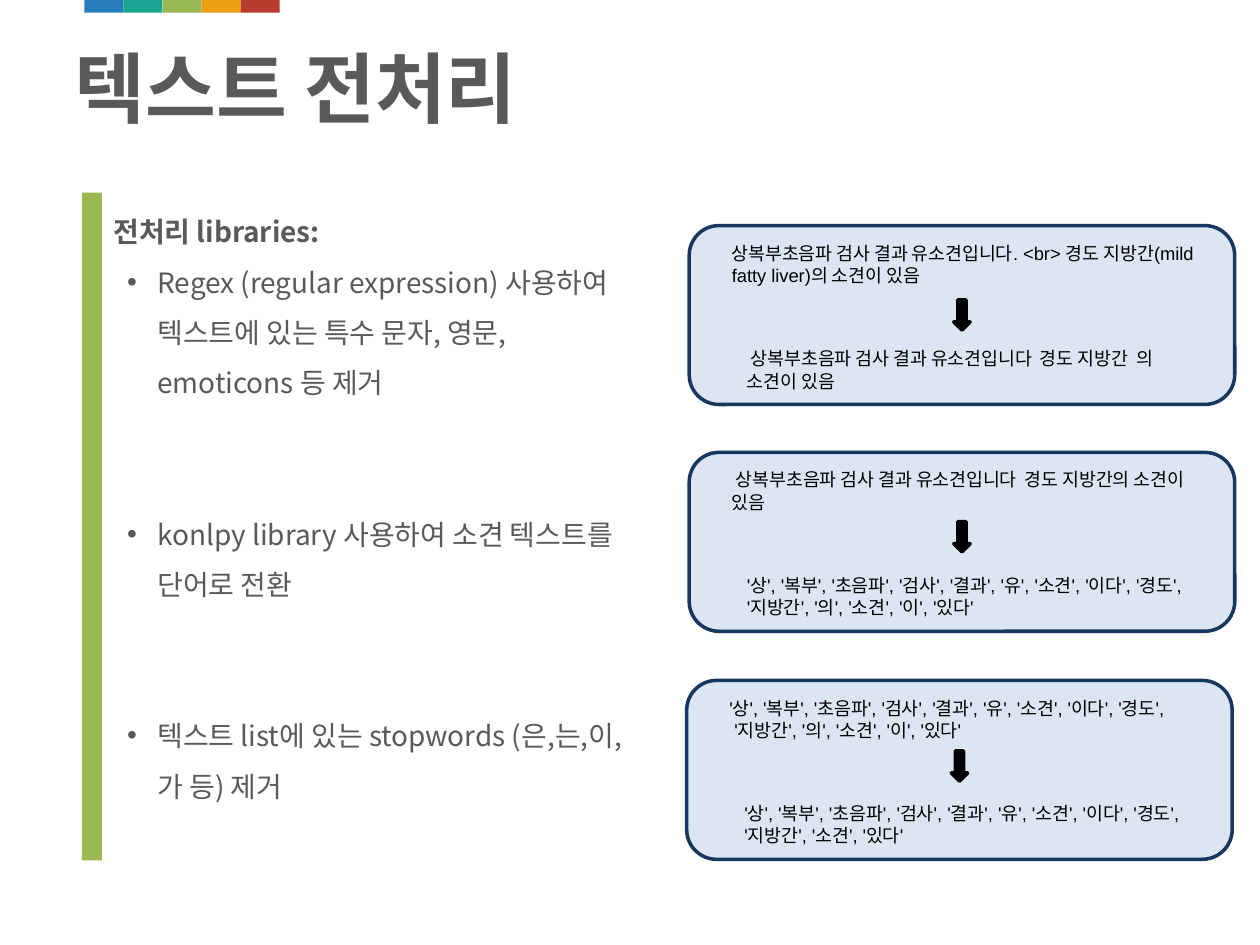
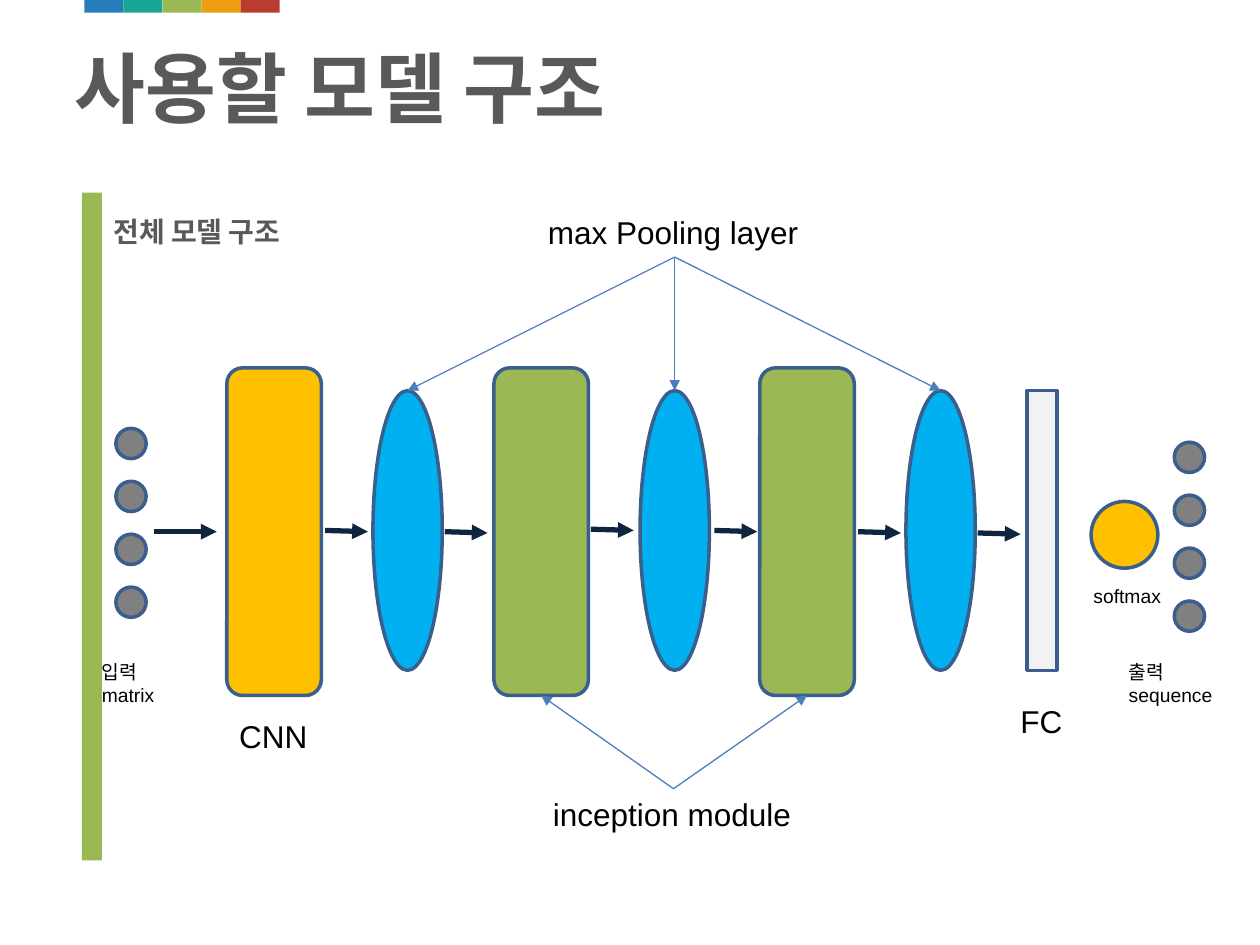
from dataclasses import dataclass

from lxml.etree import SubElement
from pptx import Presentation
from pptx.dml.color import RGBColor
from pptx.enum.shapes import MSO_CONNECTOR, MSO_SHAPE
from pptx.enum.text import MSO_ANCHOR, MSO_AUTO_SIZE, PP_ALIGN
from pptx.oxml.ns import qn
from pptx.presentation import Presentation as Deck
from pptx.shapes.autoshape import Shape
from pptx.shapes.connector import Connector
from pptx.slide import Slide
from pptx.util import Emu, Pt

EMU_PER_PX = 9144  # 100 px to the inch
TOP, BOTTOM = 0, 2  # connection sites


@dataclass(frozen=True)
class Theme:
    ribbon: tuple[str, ...] = ("277DBA", "19A695", "9AB854", "EE9E13", "BA3C2E")
    heading: str = "595959"
    ink: str = "000000"
    accent: str = "9AB854"
    card: str = "DCE6F2"
    card_edge: str = "17375E"
    layer_edge: str = "3A5F8C"
    conv: str = "FFC000"
    inception: str = "9BB854"
    pool: str = "00B0F0"
    dense: str = "F2F2F2"
    unit: str = "808080"
    flow: str = "0F243E"
    pointer: str = "4B7EBC"
    font: str = "Arial"
    body_font: str = "Noto Sans CJK KR"
    title_size: float = 44
    label_size: float = 18
    body_size: float = 16
    caption_size: float = 11
    example_size: float = 10.5
    body_leading: float = 28.8
    topic_gap: float = 57.6


THEME = Theme()


@dataclass(frozen=True)
class Box:
    left: int
    top: int
    width: int
    height: int

    def emu(self) -> tuple[Emu, ...]:
        return tuple(px(n) for n in (self.left, self.top, self.width, self.height))


@dataclass(frozen=True)
class Example:
    """A card showing a text before and after one step."""
    left: int
    top: int
    arrow_drop: int
    before: str
    after: str


@dataclass(frozen=True)
class Label:
    text: str
    box: Box
    size: float
    wrap: bool = False


TOKENS = ("'상', '복부', '초음파', '검사', '결과', '유', '소견', '이다', "
          "'경도', '지방간', '의', '소견', '이', '있다'")
EXAMPLES = (
    Example(547, 179, 59,
            "상복부초음파 검사 결과 유소견입니다. <br> 경도 지방간(mild fatty liver)의 소견이 있음",
            " 상복부초음파 검사 결과 유소견입니다  경도 지방간  의 소견이 있음"),
    Example(547, 359, 55,
            " 상복부초음파 검사 결과 유소견입니다  경도 지방간의 소견이 있음", TOKENS),
    Example(545, 540, 56, TOKENS,
            "'상', '복부', '초음파', '검사', '결과', '유', '소견', '이다', "
            "'경도', '지방간', '소견', '있다'"),
)
STEPS = (
    "Regex (regular expression) 사용하여 텍스트에 있는 특수 문자, 영문, emoticons 등 제거",
    "konlpy library 사용하여 소견 텍스트를 단어로 전환",
    "텍스트 list에 있는 stopwords (은,는,이,가 등) 제거",
)

POOLING = Label("max Pooling layer", Box(425, 164, 221, 40), THEME.label_size)
INCEPTION = Label("inception module", Box(429, 626, 211, 40), THEME.label_size)
CAPTIONS = (
    Label("CNN", Box(180, 564, 75, 40), THEME.label_size),
    Label("FC", Box(800, 552, 54, 40), THEME.label_size),
    Label("softmax", Box(858, 459, 74, 29), THEME.caption_size),
    Label("출력 sequence", Box(886, 519, 92, 48), THEME.caption_size, True),
    Label("입력 matrix", Box(71, 519, 66, 48), THEME.caption_size, True),
)
STAGE_PITCH = 211.5
UNIT_PITCH = 42
FLOW_STARTS = ((258, 421), (353, 422), (469, 420), (567, 421), (681, 422), (776, 423))


def px(length: int) -> Emu:
    return Emu(length * EMU_PER_PX)


def rgb(value: str) -> RGBColor:
    return RGBColor.from_string(value)


def style(paragraph, size: float, color: str, font: str = THEME.font,
          bold: bool = False) -> None:
    face = paragraph.font
    face.name, face.size, face.bold = font, Pt(size), bold
    face.color.rgb = rgb(color)


def place(shape: Shape, box: Box) -> None:
    shape.left, shape.top, shape.width, shape.height = box.emu()


def add_block(slide: Slide, kind: MSO_SHAPE, box: Box, fill: str,
              edge: str | None = None) -> Shape:
    block = slide.shapes.add_shape(kind, *box.emu())
    block.shadow.inherit = False
    block.fill.solid()
    block.fill.fore_color.rgb = rgb(fill)
    if edge:
        block.line.color.rgb = rgb(edge)
        block.line.width = Pt(2)
    else:
        block.line.fill.background()
    return block


def add_label(slide: Slide, label: Label) -> Shape:
    holder = slide.shapes.add_textbox(*label.box.emu())
    frame = holder.text_frame
    frame.word_wrap = label.wrap
    frame.text = label.text
    style(frame.paragraphs[0], label.size, THEME.ink)
    return holder


def add_arrow(slide: Slide, start: tuple[int, int], end: tuple[int, int],
              color: str, width: float) -> Connector:
    arrow = slide.shapes.add_connector(
        MSO_CONNECTOR.STRAIGHT, *(px(n) for n in (*start, *end)))
    arrow.line.color.rgb = rgb(color)
    arrow.line.width = Pt(width)
    SubElement(arrow.line._get_or_add_ln(), qn("a:tailEnd"), type="triangle")
    SubElement(arrow._element.spPr, qn("a:effectLst"))
    return arrow


def point_at(slide: Slide, source: Shape, source_site: int,
             target: Shape, target_site: int) -> None:
    pointer = add_arrow(slide, (0, 0), (0, 0), THEME.pointer, 0.75)
    pointer.begin_connect(source, source_site)
    pointer.end_connect(target, target_site)


def format_body(paragraph, bullet: bool) -> None:
    props = paragraph._p.get_or_add_pPr()
    props.set("marL", str(px(35 if bullet else 0)))
    props.set("indent", str(px(-24 if bullet else 0)))
    if bullet:
        paragraph.level = 1
        SubElement(props, qn("a:buFont"), typeface=THEME.font)
        SubElement(props, qn("a:buChar"), char="•")
    else:
        SubElement(props, qn("a:buNone"))
    paragraph.line_spacing = Pt(THEME.body_leading)
    paragraph.space_before = Pt(0)
    style(paragraph, THEME.body_size, THEME.heading, THEME.body_font, not bullet)


def add_page(deck: Deck, title: str, heading: str, body_height: int,
             steps: tuple[str, ...] = ()) -> Slide:
    slide = deck.slides.add_slide(deck.slide_layouts[1])

    # Colour ribbon and side band
    for i, color in enumerate(THEME.ribbon):
        add_block(slide, MSO_SHAPE.RECTANGLE, Box(67 + 31 * i, 0, 31, 10), color)
    add_block(slide, MSO_SHAPE.RECTANGLE, Box(65, 153, 16, 530), THEME.accent)

    # Title
    place(slide.shapes.title, Box(59, 30, 941, 78))
    frame = slide.shapes.title.text_frame
    frame.text = title
    frame.margin_left = 0
    frame.vertical_anchor = MSO_ANCHOR.MIDDLE
    frame.auto_size = MSO_AUTO_SIZE.NONE
    frame.paragraphs[0].alignment = PP_ALIGN.LEFT
    style(frame.paragraphs[0], THEME.title_size, THEME.heading, bold=True)

    # Heading and steps
    body = slide.placeholders[1]
    place(body, Box(80, 152, 443, body_height))
    frame = body.text_frame
    frame.auto_size = MSO_AUTO_SIZE.NONE
    frame.text = heading
    format_body(frame.paragraphs[0], bullet=False)
    for i, step in enumerate(steps):
        item = frame.add_paragraph()
        item.text = step
        format_body(item, bullet=True)
        if i:
            item.space_before = Pt(THEME.topic_gap)
    return slide


def add_example(slide: Slide, example: Example) -> None:
    left, top = example.left, example.top
    add_block(slide, MSO_SHAPE.ROUNDED_RECTANGLE, Box(left, top, 433, 142),
              THEME.card, THEME.card_edge)
    for text, box in ((example.before, Box(left + 24, top + 8, 409, 45)),
                      (example.after, Box(left + 36, top + 92, 374, 45))):
        add_label(slide, Label(text, box, THEME.example_size, True))
    add_block(slide, MSO_SHAPE.DOWN_ARROW,
              Box(left + 210, top + example.arrow_drop, 13, 24), THEME.ink, THEME.ink)


def add_units(slide: Slide, left: int, top: int) -> None:
    for i in range(4):
        add_block(slide, MSO_SHAPE.OVAL, Box(left, top + UNIT_PITCH * i, 24, 24),
                  THEME.unit, THEME.layer_edge)


def build_preprocessing(deck: Deck) -> None:
    slide = add_page(deck, "텍스트 전처리", "전처리 libraries:", 490, STEPS)
    for example in EXAMPLES:
        add_example(slide, example)


def build_model(deck: Deck) -> None:
    slide = add_page(deck, "사용할 모델 구조", "전체 모델 구조", 45)

    # Convolution stages, each followed by pooling
    modules, pools = [], []
    for i, fill in enumerate((THEME.conv, THEME.inception, THEME.inception)):
        shift = round(STAGE_PITCH * i)
        modules.append(add_block(slide, MSO_SHAPE.ROUNDED_RECTANGLE,
                                 Box(180 + shift, 292, 75, 260), fill, THEME.layer_edge))
        pools.append(add_block(slide, MSO_SHAPE.OVAL, Box(296 + shift, 310, 55, 222),
                               THEME.pool, THEME.layer_edge))

    # Dense layer, softmax, input and output units
    add_block(slide, MSO_SHAPE.RECTANGLE, Box(815, 310, 24, 222),
              THEME.dense, THEME.layer_edge)
    add_block(slide, MSO_SHAPE.OVAL, Box(866, 398, 53, 53), THEME.conv, THEME.layer_edge)
    add_units(slide, 92, 340)
    add_units(slide, 932, 351)

    # Data flow
    add_arrow(slide, (122, 422), (172, 422), THEME.flow, 3)
    for x, y in FLOW_STARTS:
        add_arrow(slide, (x, y), (x + 34, y + 1), THEME.flow, 3)

    # Labels and their pointers
    for caption in CAPTIONS:
        add_label(slide, caption)
    pooling = add_label(slide, POOLING)
    for pool in pools:
        point_at(slide, pooling, BOTTOM, pool, TOP)
    inception = add_label(slide, INCEPTION)
    for module in modules[1:]:
        point_at(slide, inception, TOP, module, BOTTOM)


def main() -> None:
    deck = Presentation()
    deck.slide_width, deck.slide_height = px(1000), px(750)
    build_preprocessing(deck)
    build_model(deck)
    deck.save("out.pptx")


if __name__ == "__main__":
    main()
